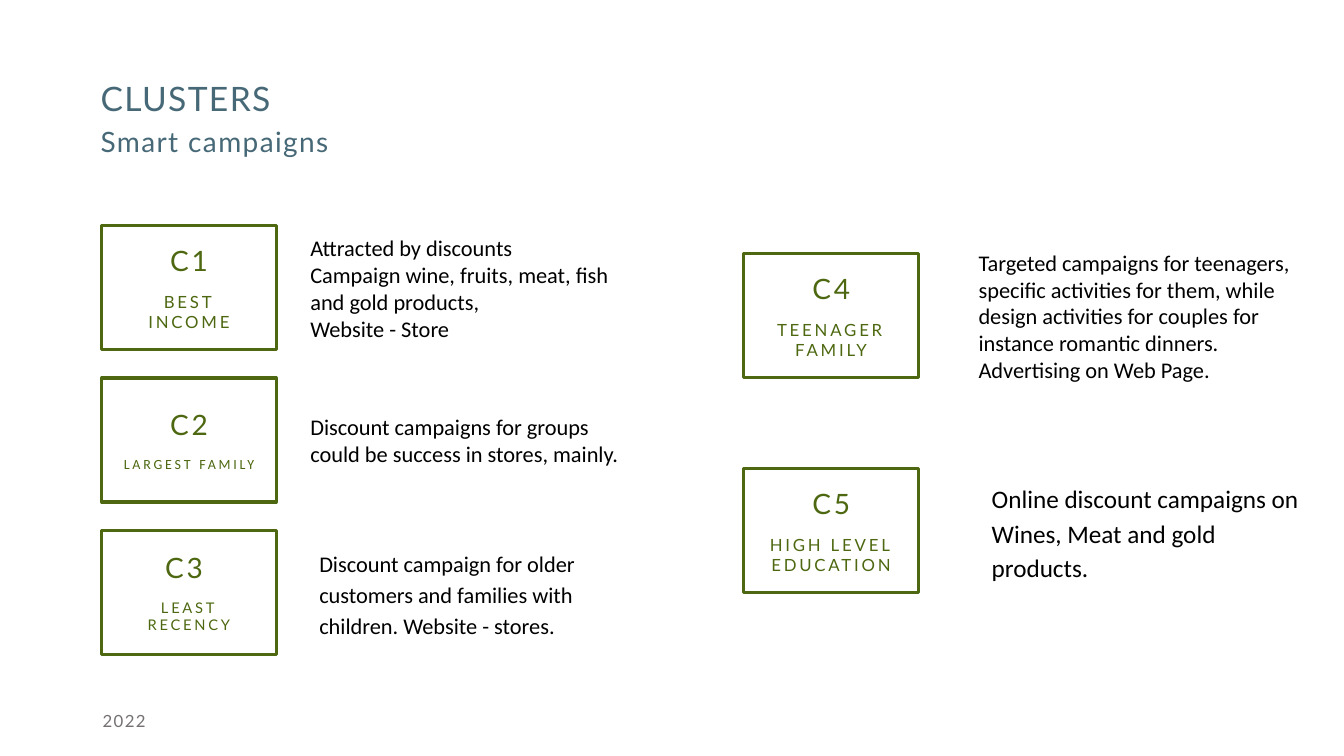
from pptx import Presentation
from pptx.dml.color import RGBColor
from pptx.enum.shapes import MSO_SHAPE
from pptx.enum.text import MSO_ANCHOR, PP_ALIGN
from pptx.util import Pt

RECTANGLE = MSO_SHAPE.RECTANGLE
MIDDLE = MSO_ANCHOR.MIDDLE
LEFT = PP_ALIGN.LEFT
CENTER = PP_ALIGN.CENTER

WHITE = RGBColor(0xFF, 0xFF, 0xFF)
BLACK = RGBColor(0x00, 0x00, 0x00)
TEAL = RGBColor(0x47, 0x69, 0x77)
OLIVE = RGBColor(0x4D, 0x68, 0x10)
GRAY = RGBColor(0x76, 0x71, 0x71)

HEADING_FONT = "Lato"
BODY_FONT = "Calibri"

BOX_WIDTH, CARD_HEIGHT, CAMPAIGN_WIDTH = 124.6, 88.6, 242.6
LEFT_COLUMN, RIGHT_COLUMN = 72.7, 531.4
LEFT_TOP, LEFT_PITCH = 161.3, 108.7
RIGHT_TOP, RIGHT_PITCH = 181.4, 153.4

LOOSE = {"line_spacing": 1.15, "space_after": Pt(10)}

LEFT_CLUSTERS = [
    ("C1", "BEST INCOME", 12, HEADING_FONT, 214.6, 16, {},
     ["Attracted by discounts",
      "Campaign wine, fruits, meat, fish and gold products,",
      "Website - Store"]),
    ("C2", "LARGEST FAMILY", 10, BODY_FONT, 214.6, 16, {},
     ["Discount campaigns for groups could be success in stores, mainly."]),
    ("C3 ", "LEAST RECENCY", 10.5, HEADING_FONT, 221, 16, LOOSE,
     ["Discount campaign for older customers and families with children. "
      "Website - stores."]),
]
RIGHT_CLUSTERS = [
    ("C4", "TEENAGER FAMILY", 12, HEADING_FONT, 691.9, 16, {},
     ["Targeted campaigns for teenagers, specific activities for them, while "
      "design activities for couples for instance romantic dinners. "
      "Advertising on Web Page."]),
    ("C5", "HIGH LEVEL EDUCATION", 12, HEADING_FONT, 701.3, 18, LOOSE,
     ["Online discount campaigns on Wines, Meat and gold products."]),
]


class ClusterSlide:
    def __init__(self, slide):
        self.slide = slide
        background = slide.background.fill
        background.solid()
        background.fore_color.rgb = WHITE

    def fill_text(self, frame, lines, color, tracking=0, inset=7.2, **layout):
        margins = {
            "word_wrap": True, "vertical_anchor": MIDDLE,
            "margin_left": Pt(inset), "margin_right": Pt(inset),
            "margin_top": Pt(3.6), "margin_bottom": Pt(3.6),
        }
        for name, value in margins.items():
            setattr(frame, name, value)
        for index, (words, size, font) in enumerate(lines):
            paragraph = frame.add_paragraph() if index else frame.paragraphs[0]
            for name, value in {"alignment": LEFT, **layout}.items():
                setattr(paragraph, name, value)
            run = paragraph.add_run()
            run.text = words
            for name, value in {"size": Pt(size), "name": font}.items():
                setattr(run.font, name, value)
            run.font.color.rgb = color
            if tracking:
                run._r.get_or_add_rPr().set("spc", str(tracking * 100))

    def text(self, left, top, width, height, lines, color, **style):
        area = self.slide.shapes.add_textbox(
            Pt(left), Pt(top), Pt(width), Pt(height))
        self.fill_text(area.text_frame, lines, color, **style)

    def box(self, left, top, lines):
        frame = self.slide.shapes.add_shape(
            RECTANGLE, Pt(left), Pt(top), Pt(BOX_WIDTH), Pt(CARD_HEIGHT))
        frame.shadow.inherit = False
        frame.fill.background()
        frame.line.color.rgb = OLIVE
        frame.line.width = Pt(2.25)
        self.fill_text(frame.text_frame, lines, OLIVE, tracking=2, inset=14.4,
                       alignment=CENTER, space_before=Pt(10))

    def column(self, left, first_top, pitch, clusters):
        for row, cluster in enumerate(clusters):
            (code, label, label_size, label_font,
             campaign_left, campaign_size, layout, campaign) = cluster
            top = first_top + row * pitch
            self.box(left, top, [(code, 20, HEADING_FONT),
                                 (label, label_size, label_font)])
            self.text(campaign_left, top, CAMPAIGN_WIDTH, CARD_HEIGHT,
                      [(words, campaign_size, BODY_FONT) for words in campaign],
                      BLACK, **layout)


def main():
    deck = Presentation()
    deck.slide_width, deck.slide_height = Pt(960), Pt(540)
    page = ClusterSlide(deck.slides.add_slide(deck.slide_layouts[6]))
    page.text(64.8, 49.7, 414.7, 44.6, [("CLUSTERS", 24, HEADING_FONT)],
              TEAL, tracking=1, line_spacing=0.9)
    page.text(64.8, 79.9, 393.1, 44.6, [("Smart campaigns", 20, HEADING_FONT)],
              TEAL, tracking=1, line_spacing=0.9, space_before=Pt(10))
    page.column(LEFT_COLUMN, LEFT_TOP, LEFT_PITCH, LEFT_CLUSTERS)
    page.column(RIGHT_COLUMN, RIGHT_TOP, RIGHT_PITCH, RIGHT_CLUSTERS)
    page.text(66.2, 500.4, 125.3, 28.8, [("2022", 12, HEADING_FONT)],
              GRAY, tracking=1)
    deck.save("out.pptx")


if __name__ == "__main__":
    main()
